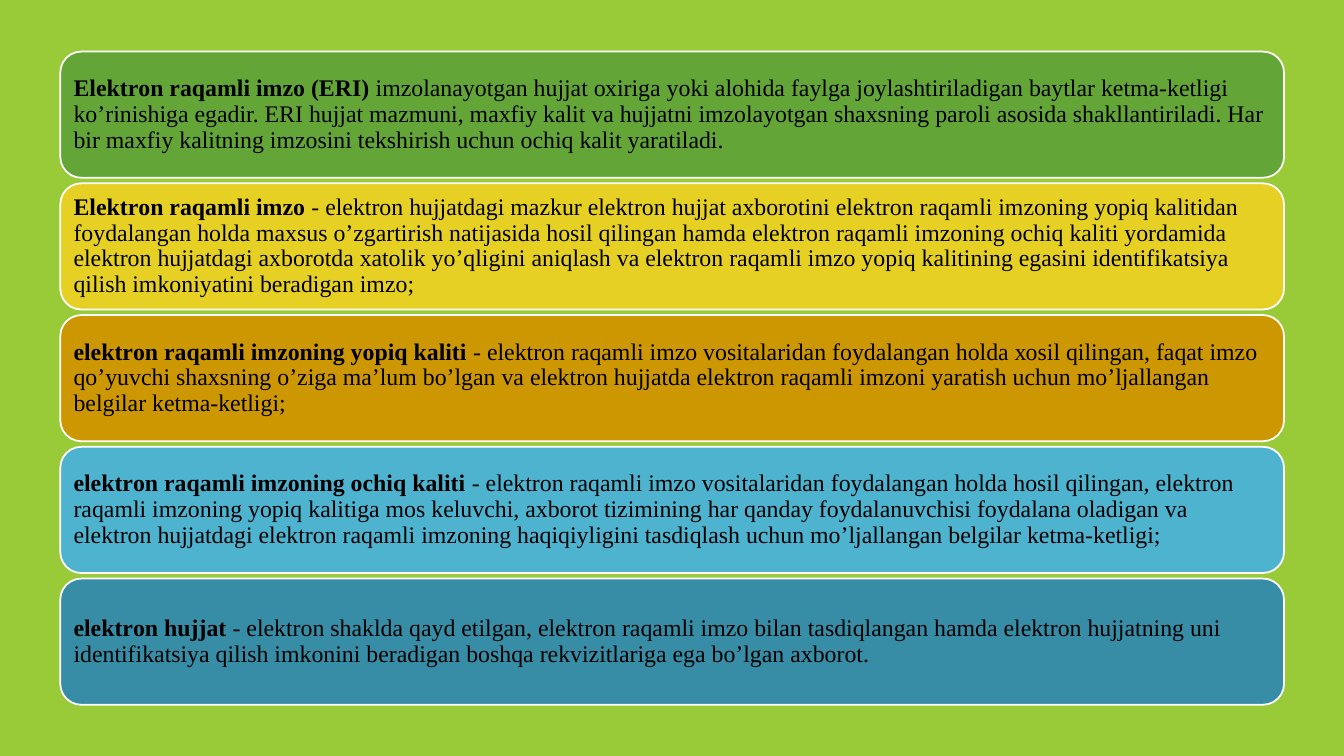
import pptx
import pptx.util
import pptx.dml.color
import pptx.enum.shapes
import pptx.enum.text

Cm = pptx.util.Cm

COLORS = {
    "background": "99CB38",
    "green": "63A537",
    "yellow": "E6D024",
    "ochre": "CC9700",
    "sky": "4EB3CF",
    "teal": "378DA6",
    "outline": "FFFFFF",
    "text": "000000",
}
FONT = "Times New Roman"

# The wording uses Cyrillic letters in place of these Latin ones.
CYRILLIC = str.maketrans("aox", "\u0430\u043e\u0445")

# Fill, term, definition
DEFINITIONS = [
    ("green", "El\u0435ktron raqamli imzo (ERI)",
     " imzolanayotgan hujjat oxiriga yoki alohida faylga joylashtiriladigan "
     "baytlar k\u0435tma-k\u0435tligi ko’rinishiga egadir. ERI hujjat mazmuni, "
     "maxfiy kalit va hujjatni imzolayotgan shaxsning paroli asosida "
     "shakllantiriladi. Har bir maxfiy kalitning imzosini t\u0435kshirish uchun "
     "ochiq kalit yaratiladi."),
    ("yellow", "Elektron raqamli imzo ",
     "- elektron hujjatdagi mazkur elektron hujjat axborotini elektron raqamli "
     "imzoning yopiq kalitidan foydalangan holda maxsus o’zgartirish natijasida "
     "hosil qilingan hamda elektron raqamli imzoning ochiq kaliti yordamida "
     "elektron hujjatdagi axborotda xatolik yo’qligini aniqlash va elektron "
     "raqamli imzo yopiq kalitining egasini identifikatsiya qilish imkoniyatini "
     "beradigan imzo;"),
    ("ochre", "elektron raqamli imzoning yopiq kaliti ",
     "- elektron raqamli imzo vositalaridan foydalangan holda xosil qilingan, "
     "faqat imzo qo’yuvchi shaxsning o’ziga ma’lum bo’lgan va elektron hujjatda "
     "elektron raqamli imzoni yaratish uchun mo’ljallangan belgilar "
     "ketma-ketligi;"),
    ("sky", "elektron raqamli imzoning ochiq kaliti ",
     "- elektron raqamli imzo vositalaridan foydalangan holda hosil qilingan, "
     "elektron raqamli imzoning yopiq kalitiga mos keluvchi, axborot tizimining "
     "har qanday foydalanuvchisi foydalana oladigan va elektron hujjatdagi "
     "elektron raqamli imzoning haqiqiyligini tasdiqlash uchun mo’ljallangan "
     "belgilar ketma-ketligi;"),
    ("teal", "elektron hujjat ",
     "- elektron shaklda qayd etilgan, elektron raqamli imzo bilan tasdiqlangan "
     "hamda elektron hujjatning uni identifikatsiya qilish imkonini beradigan "
     "boshqa rekvizitlariga ega bo’lgan axborot."),
]


def color(name):
    """Return the named colour."""
    return pptx.dml.color.RGBColor.from_string(COLORS[name])


def add_definition(page, box, fill, term, meaning):
    """Draw one rounded bar with a bold term and its meaning."""
    bar = page.shapes.add_shape(
        pptx.enum.shapes.MSO_SHAPE.ROUNDED_RECTANGLE, *map(Cm, box))
    bar.shadow.inherit = False
    bar.fill.solid()
    bar.fill.fore_color.rgb = color(fill)
    bar.line.color.rgb = color("outline")
    bar.line.width = pptx.util.Pt(1.25)

    frame = bar.text_frame
    frame.word_wrap = True
    frame.vertical_anchor = pptx.enum.text.MSO_ANCHOR.MIDDLE
    frame.margin_left = frame.margin_right = Cm(0.18)
    frame.margin_top = frame.margin_bottom = Cm(0.18)
    para = frame.paragraphs[0]
    para.alignment = pptx.enum.text.PP_ALIGN.LEFT
    para.line_spacing = 0.9
    para.font.name = FONT
    para.font.size = pptx.util.Pt(17)
    para.font.color.rgb = color("text")
    for words, bold in ((term, True), (meaning, False)):
        span = para.add_run()
        span.text = words.translate(CYRILLIC)
        span.font.bold = bold


def add_definition_list(page, box, gap):
    """Stack the definitions in the box as bars of equal height."""
    left, top, width, height = box
    pitch = (height + gap) / len(DEFINITIONS)
    for index, definition in enumerate(DEFINITIONS):
        bar_box = (left, top + index * pitch, width, pitch - gap)
        add_definition(page, bar_box, *definition)


def build_deck():
    """Build the one-page deck of definitions."""
    deck = pptx.Presentation()
    deck.slide_width, deck.slide_height = Cm(33.87), Cm(19.05)
    page = deck.slides.add_slide(deck.slide_layouts[6])
    page.background.fill.solid()
    page.background.fill.fore_color.rgb = color("background")
    add_definition_list(page, (1.52, 1.3, 30.84, 16.46), gap=0.14)
    return deck


build_deck().save("out.pptx")
